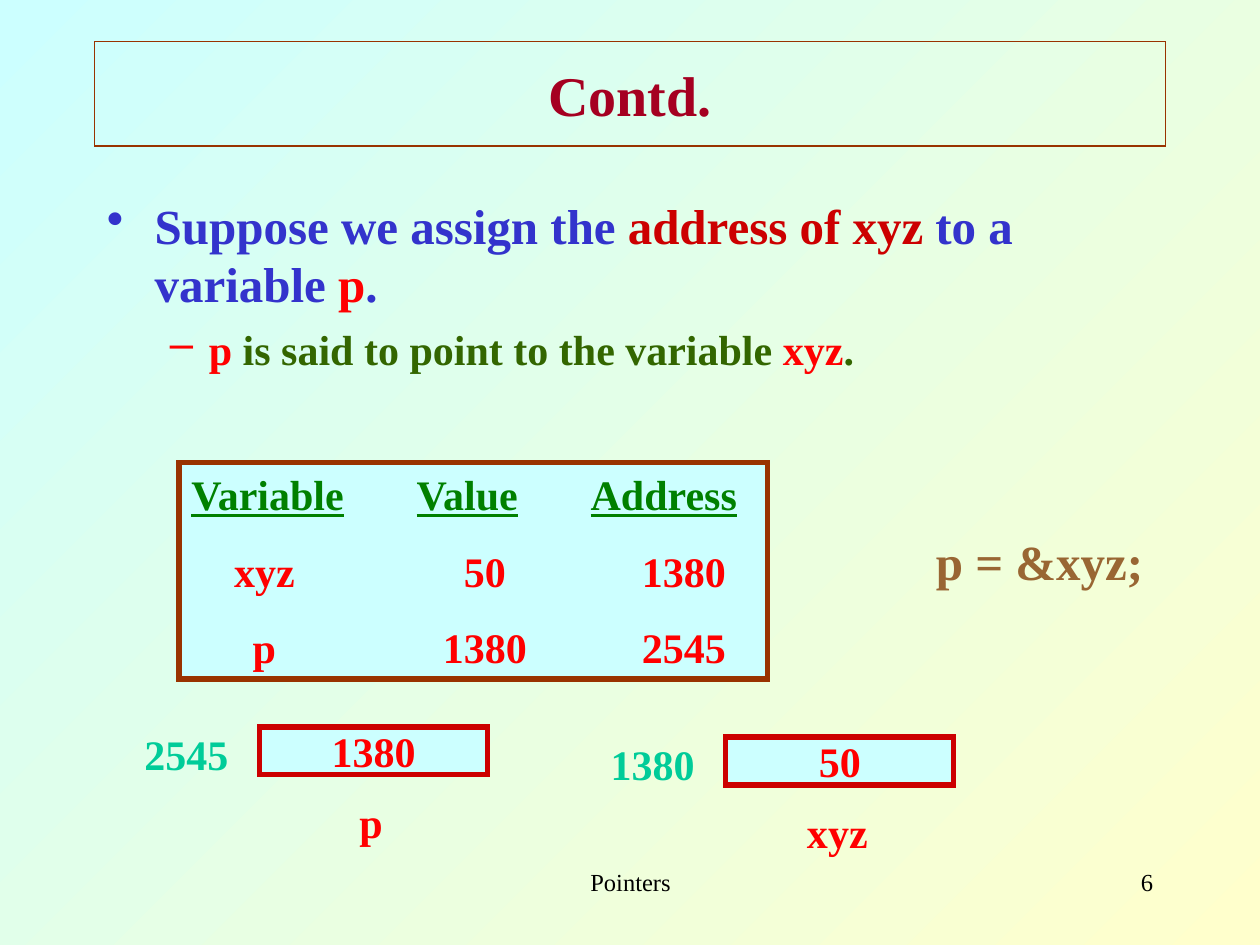
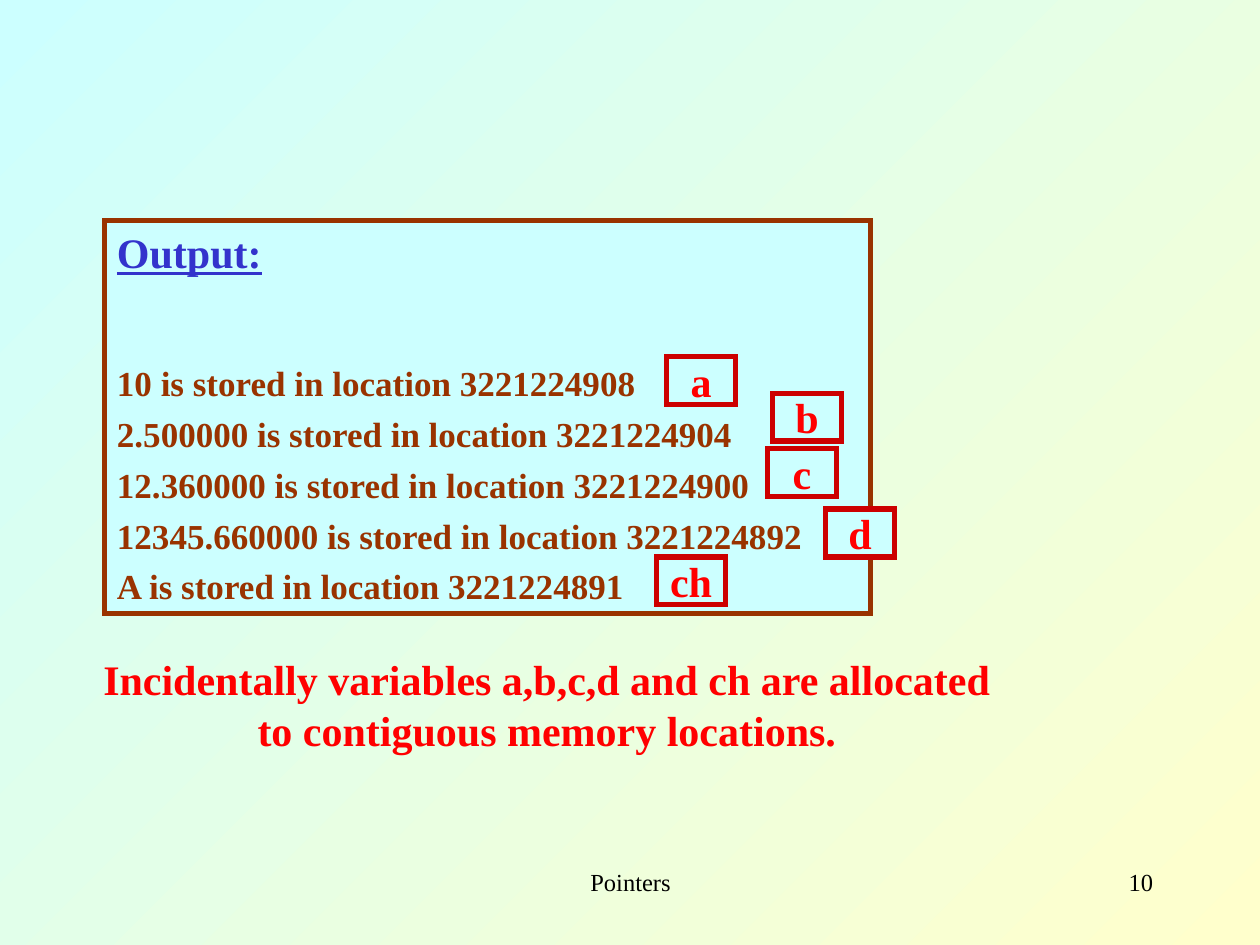
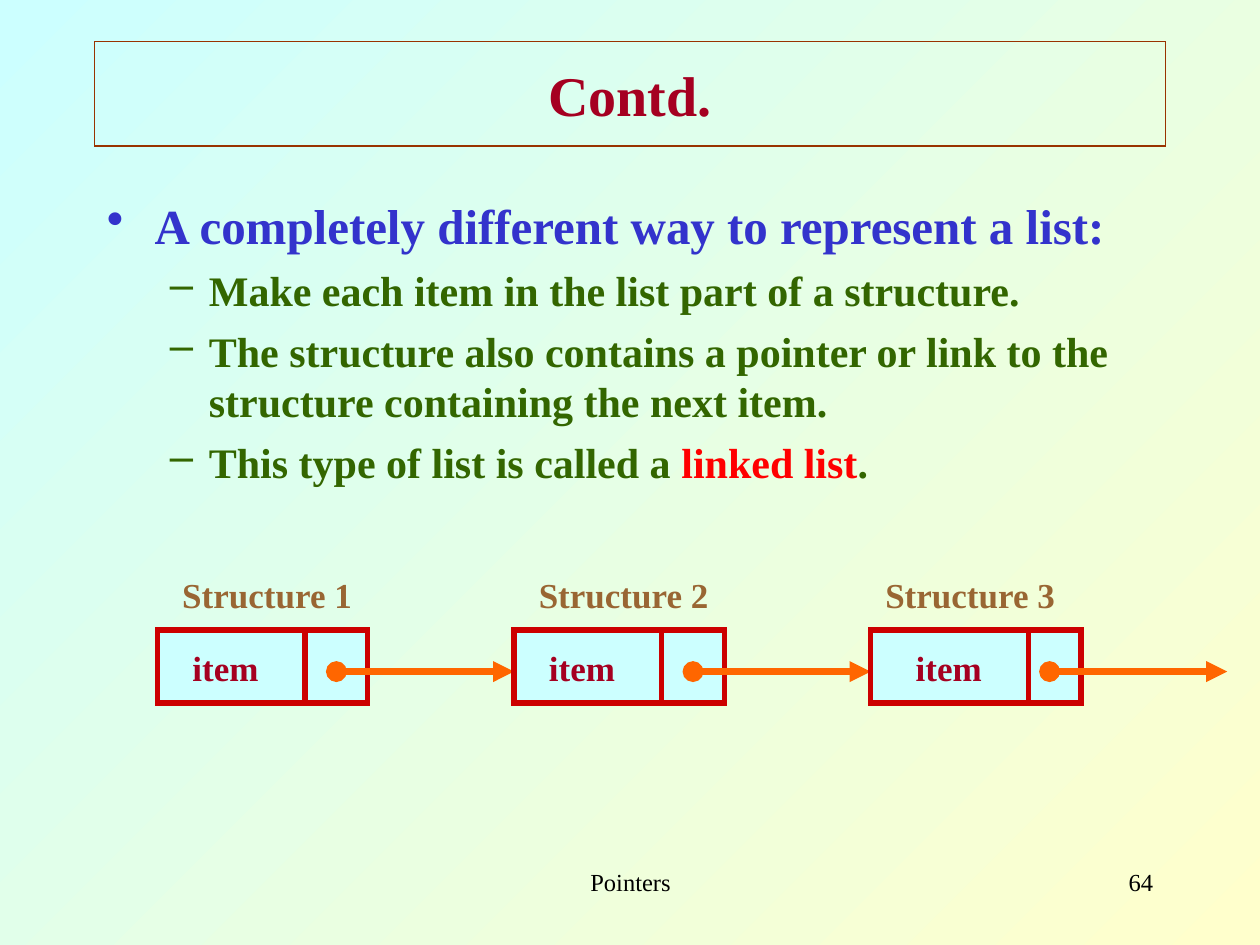
from lxml import etree
from pptx import Presentation
from pptx.dml.color import RGBColor
from pptx.enum.shapes import MSO_CONNECTOR, MSO_SHAPE
from pptx.enum.text import MSO_ANCHOR, PP_ALIGN
from pptx.oxml.ns import qn
from pptx.util import Inches, Pt

LEFT, CENTER, RIGHT = PP_ALIGN.LEFT, PP_ALIGN.CENTER, PP_ALIGN.RIGHT
TOP, MIDDLE = MSO_ANCHOR.TOP, MSO_ANCHOR.MIDDLE
RECTANGLE = MSO_SHAPE.RECTANGLE
STRAIGHT = MSO_CONNECTOR.STRAIGHT

FONT = "Times New Roman"
COLORS = {
    "black": "000000",
    "red": "FF0000",
    "crimson": "CC0000",
    "maroon": "A50021",
    "brown": "993300",
    "tan": "996633",
    "orange": "FF6600",
    "blue": "3333CC",
    "olive": "336600",
    "green": "008000",
    "mint": "00CC99",
    "cyan": "CCFFFF",
    "cream": "FFFFCC",
}
BULLETS = [
    {"char": "•", "margin": 0.38, "hanging": 0.38, "size": 28, "color": "blue", "before": 7},
    {"char": "–", "margin": 0.81, "hanging": 0.31, "size": 24, "color": "olive", "before": 6},
]


def rgb(name):
    return RGBColor.from_string(COLORS[name])


class Deck:
    def __init__(self):
        self.prs = Presentation()
        self.prs.slide_width, self.prs.slide_height = Inches(10), Inches(7.5)
        self.slide = None

    def new_slide(self, number, title=None):
        self.slide = self.prs.slides.add_slide(self.prs.slide_layouts[6])
        fill = self.slide.background.fill
        fill.gradient()
        fill.gradient_angle = 315
        for stop, name in zip(fill.gradient_stops, ("cyan", "cream")):
            stop.color.rgb = rgb(name)
        self.label("Pointers", 3.42, 6.83, 3.17, 0.5, 14, "black", bold=False)
        self.label(number, 7.17, 6.83, 2.08, 0.5, 14, "black", bold=False, align=RIGHT)
        if title:
            heading = self.box(0.75, 0.33, 8.5, 0.83, "brown", 0.75, None)
            self.frame(heading, MIDDLE)
            self.paragraph(heading, title, 32, "maroon", align=CENTER)

    def frame(self, shape, anchor=TOP, wrap=True):
        shape.text_frame.word_wrap = wrap
        shape.text_frame.vertical_anchor = anchor

    def style(self, paragraph, size, color, bold=True):
        font = paragraph.font
        font.name, font.size, font.bold = FONT, Pt(size), bold
        font.color.rgb = rgb(color)

    def next_paragraph(self, shape, before):
        paragraph = shape.text_frame.paragraphs[0]
        if paragraph.runs:
            paragraph = shape.text_frame.add_paragraph()
            paragraph.space_before = Pt(before)
        return paragraph

    def paragraph(self, shape, text, size, color, bold=True, align=LEFT, before=0):
        paragraph = self.next_paragraph(shape, before)
        paragraph.alignment = align
        paragraph.add_run().text = text
        self.style(paragraph, size, color, bold)
        return paragraph

    def text_box(self, left, top, width, height, wrap=True):
        shape = self.slide.shapes.add_textbox(
            Inches(left), Inches(top), Inches(width), Inches(height))
        self.frame(shape, wrap=wrap)
        return shape

    def label(self, text, left, top, width, height, size, color, bold=True, align=CENTER):
        shape = self.text_box(left, top, width, height, wrap=align == RIGHT)
        for line in text.split("\n"):
            self.paragraph(shape, line, size, color, bold, align)

    def box(self, left, top, width, height, line, weight=3, fill="cyan"):
        shape = self.slide.shapes.add_shape(
            RECTANGLE, Inches(left), Inches(top), Inches(width), Inches(height))
        shape.shadow.inherit = False
        if fill:
            shape.fill.solid()
            shape.fill.fore_color.rgb = rgb(fill)
        else:
            shape.fill.background()
        shape.line.color.rgb = rgb(line)
        shape.line.width = Pt(weight)
        outline = shape._element.spPr.find(qn("a:ln"))
        etree.SubElement(outline, qn("a:miter"), lim="800000")
        self.frame(shape)
        return shape

    def cell(self, text, left, top, width):
        shape = self.box(left, top, width, 0.38, "crimson")
        self.frame(shape, MIDDLE, wrap=False)
        self.paragraph(shape, text, 24, "red", align=CENTER)

    def line(self, start, end, color, weight, pointer=False):
        connector = self.slide.shapes.add_connector(
            STRAIGHT, *(Inches(value) for value in start + end))
        connector.line.color.rgb = rgb(color)
        connector.line.width = Pt(weight)
        properties = connector._element.spPr
        if pointer:
            outline = properties.find(qn("a:ln"))
            etree.SubElement(outline, qn("a:headEnd"), type="oval")
            etree.SubElement(outline, qn("a:tailEnd"), type="triangle")
        etree.SubElement(properties, qn("a:effectLst"))

    def bullets(self, items):
        body = self.text_box(0.75, 1.5, 8.5, 5.17)
        for level, segments in items:
            look = BULLETS[level]
            paragraph = self.next_paragraph(body, look["before"])
            paragraph.level = level
            properties = paragraph._p.get_or_add_pPr()
            properties.set("marL", str(Inches(look["margin"])))
            properties.set("indent", str(-Inches(look["hanging"])))
            mark = etree.SubElement(properties, qn("a:buClr"))
            first_color = segments[0][1] or look["color"]
            etree.SubElement(mark, qn("a:srgbClr"), val=COLORS[first_color])
            etree.SubElement(properties, qn("a:buChar"), char=look["char"])
            self.style(paragraph, look["size"], look["color"])
            for text, color in segments:
                run = paragraph.add_run()
                run.text = text
                if color:
                    run.font.color.rgb = rgb(color)

    def tabbed_row(self, shape, words, stops, color, underline=False):
        paragraph = self.next_paragraph(shape, 15)
        paragraph.alignment = LEFT
        tabs = etree.SubElement(paragraph._p.get_or_add_pPr(), qn("a:tabLst"))
        for stop in stops:
            etree.SubElement(tabs, qn("a:tab"), pos=str(Inches(stop)), algn="ctr")
        self.style(paragraph, 24, color)
        for word in words:
            paragraph.add_run().text = "\t"
            run = paragraph.add_run()
            run.text = word
            if underline:
                run.font.underline = True


def pointer_slide(deck):
    deck.new_slide("6", "Contd.")
    deck.bullets([
        (0, [("Suppose we assign the ", None), ("address of xyz", "crimson"),
             (" to a variable ", None), ("p", "red"), (".", None)]),
        (1, [("p", "red"), (" is said to point to the variable ", None),
             ("xyz", "red"), (".", None)]),
    ])
    variables = deck.box(1.42, 3.67, 4.67, 1.72, "brown")
    deck.tabbed_row(variables, ("Variable", "Value", "Address"), (0.6, 2.19, 3.75),
                    "green", underline=True)
    for row in (("xyz", "50", "1380"), ("p", "1380", "2545")):
        deck.tabbed_row(variables, row, (0.58, 2.33, 3.91), "red")
    deck.label("p = &xyz;", 7.25, 4.17, 2, 0.57, 28, "tan")
    for left, top, address, value, name in (
            (5.76, 5.85, "1380", "50", "xyz"), (2.06, 5.77, "2545", "1380", "p")):
        deck.cell(value, left, top, 1.81)
        deck.label(address, left - 1.08, top - 0.04, 1, 0.5, 24, "mint")
        deck.label(name, left - 0.02, top + 0.5, 1.81, 0.5, 24, "red")


def output_slide(deck):
    deck.new_slide("10")
    output = deck.box(0.83, 1.75, 6.08, 3.12, "brown")
    deck.paragraph(output, "Output:", 24, "blue").font.underline = True
    stored = (("10", "3221224908"), ("2.500000", "3221224904"), ("12.360000", "3221224900"),
              ("12345.660000", "3221224892"), ("A", "3221224891"))
    for index, (value, location) in enumerate(stored):
        deck.paragraph(output, f"{value} is stored in location {location}", 20, "brown",
                       before=5 if index else 48.5)
    deck.label("Incidentally variables a,b,c,d and ch are allocated\n"
               "to contiguous memory locations.", 0.72, 5.14, 7.24, 0.9, 24, "red")
    for name, left, top in (("a", 5.29, 2.83), ("b", 6.13, 3.12), ("c", 6.09, 3.56),
                            ("d", 6.55, 4.04), ("ch", 5.21, 4.42)):
        deck.cell(name, left, top, 0.55)


def linked_list_slide(deck):
    deck.new_slide("64", "Contd.")
    deck.bullets([
        (0, [("A completely different way to represent a list:", None)]),
        (1, [("Make each item in the list part of a structure.", None)]),
        (1, [("The structure also contains a pointer or link to the structure "
              "containing the next item.", None)]),
        (1, [("This type of list is called a ", None), ("linked list", "red"), (".", None)]),
    ])
    for index, shift in enumerate((0, 0, 0.08)):
        left = 1.25 + index * 2.83
        divider = left + 1.17 + shift
        deck.box(left, 5, 1.67, 0.58, "crimson")
        deck.line((left + 1.42, 5.33), (left + 2.83, 5.33), "orange", 4, pointer=True)
        deck.label(f"Structure {index + 1}", left - 0.17 - shift, 4.5, 2.08, 0.44, 20, "tan")
        deck.label("item", left + shift, 5.08, 1.08, 0.44, 20, "maroon")
        deck.line((divider, 5), (divider, 5.58), "crimson", 3)


def main():
    deck = Deck()
    pointer_slide(deck)
    output_slide(deck)
    linked_list_slide(deck)
    deck.prs.save("out.pptx")


if __name__ == "__main__":
    main()
